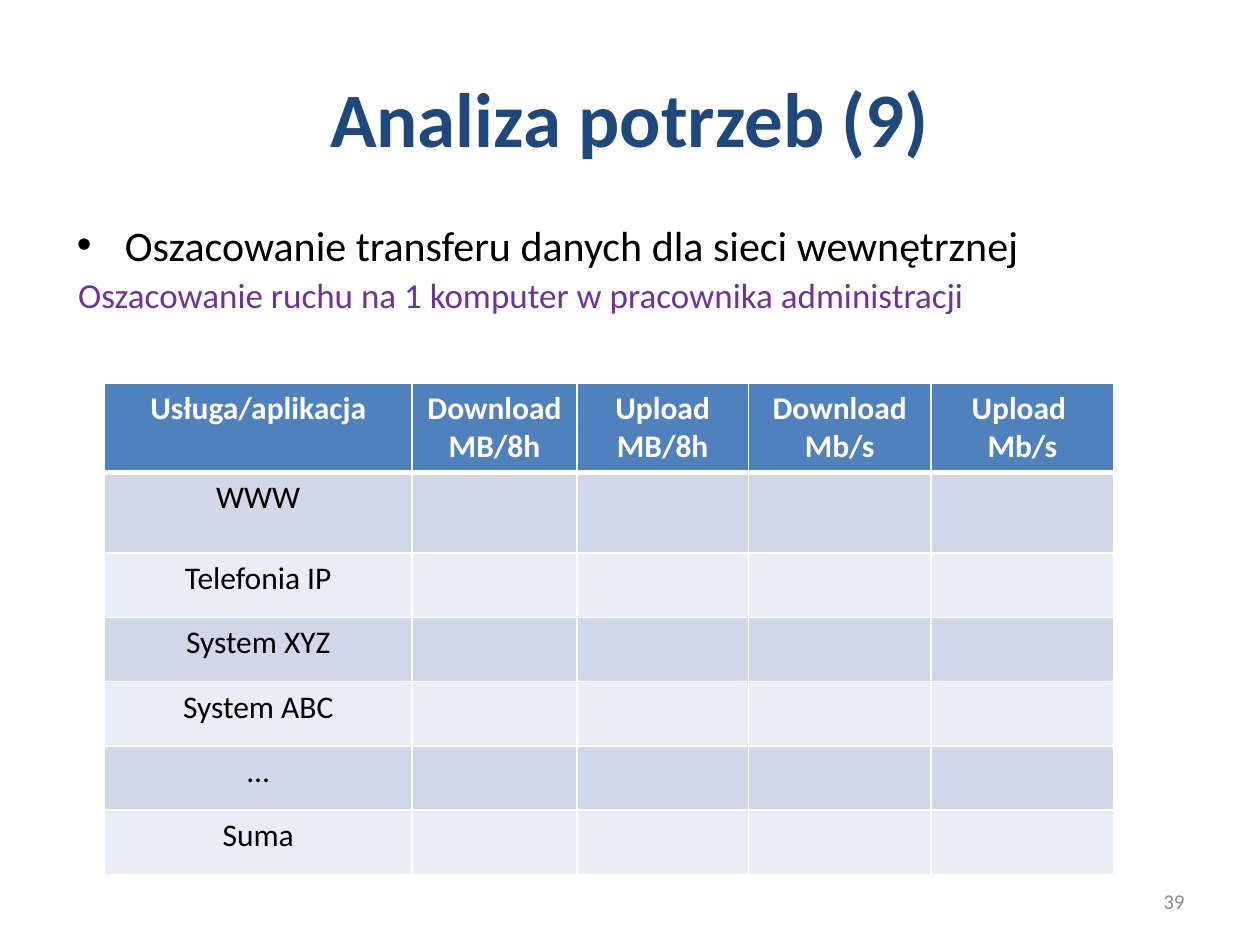
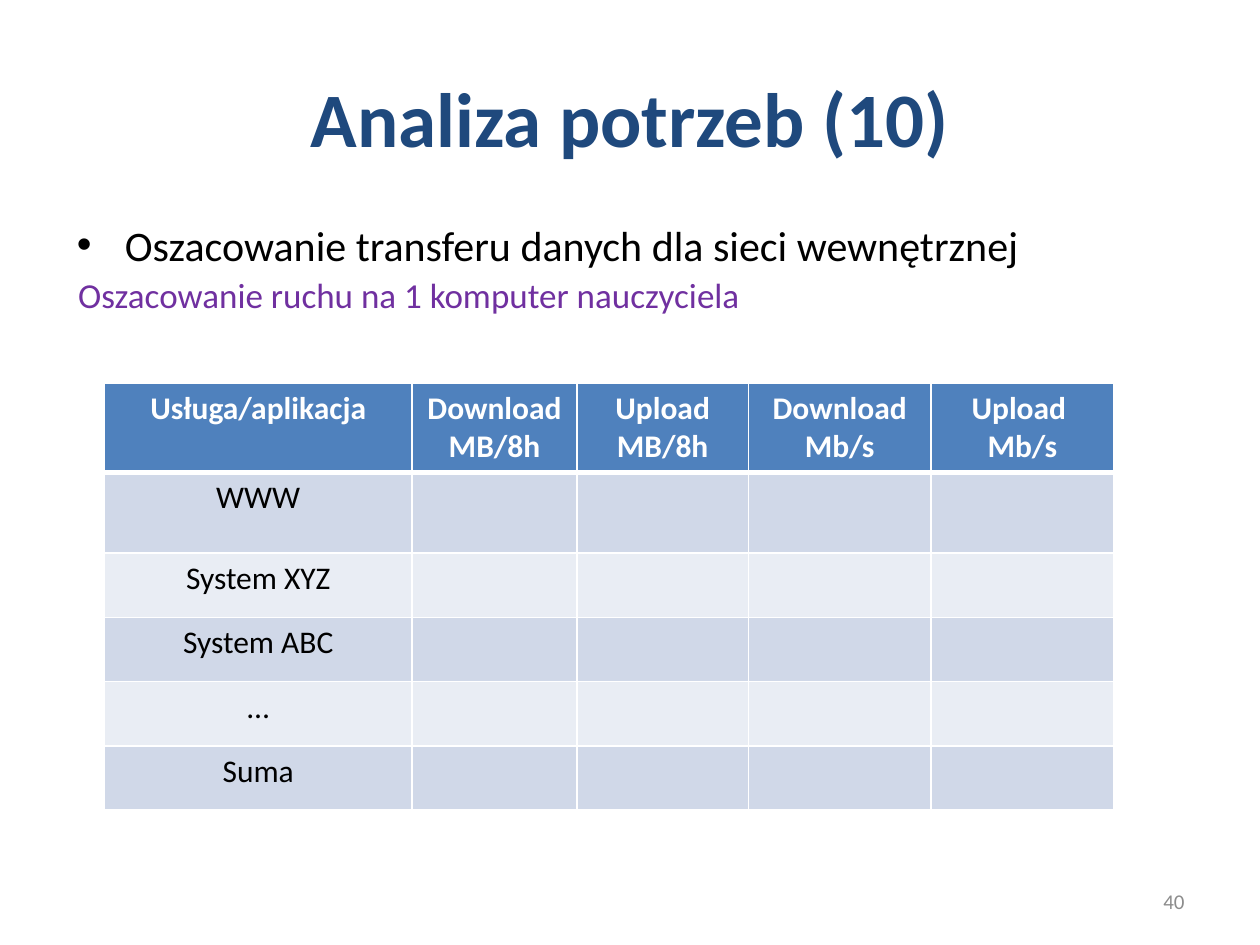
from lxml import etree
from pptx import Presentation
from pptx.dml.color import RGBColor
from pptx.enum import text
from pptx.oxml.ns import qn
from pptx.util import Inches, Pt

# Shared look
FONT = "Calibri"
NAVY, PURPLE, BLACK, WHITE, GREY = "1F497D", "7030A0", "000000", "FFFFFF", "8C8C8C"
HEADER_FILL, BAND_FILLS = "4F81BD", ("D0D8E8", "E9EDF4")
COLUMN_WIDTHS = (2.44, 1.31, 1.36, 1.45, 1.45)
HEADER_HEIGHT, FIRST_HEIGHT, ROW_HEIGHT = 0.71, 0.64, 0.51
HEADERS = ("Usługa/aplikacja", "Download MB/8h", "Upload MB/8h",
           "Download Mb/s", "Upload \nMb/s")

# What differs between the slides: number, title, subject, services
PAGES = (
    (39, "Analiza potrzeb (9)",
     "Oszacowanie ruchu na 1 komputer w pracownika administracji",
     ("WWW", "Telefonia IP", "System XYZ", "System ABC", "…", "Suma")),
    (40, "Analiza potrzeb (10)",
     "Oszacowanie ruchu na 1 komputer nauczyciela",
     ("WWW", "System XYZ", "System ABC", "…", "Suma")),
)


def write(para, words, size=18, color=BLACK, bold=False, align=text.PP_ALIGN.CENTER):
    """Put formatted words into a paragraph."""
    para.alignment = align
    span = para.add_run()
    span.text = words
    span.font.name, span.font.size, span.font.bold = FONT, Pt(size), bold
    span.font.color.rgb = RGBColor.from_string(color)


def set_borders(cell, top, bottom):
    """Draw white cell borders; widths are in points."""
    for side, width in (("L", 1), ("R", 1), ("T", top), ("B", bottom)):
        line = etree.SubElement(cell._tc.get_or_add_tcPr(), qn(f"a:ln{side}"), w=str(Pt(width)))
        fill = etree.SubElement(line, qn("a:solidFill"))
        etree.SubElement(fill, qn("a:srgbClr"), val=WHITE)


deck = Presentation()
deck.slide_width, deck.slide_height = Inches(10), Inches(7.5)

for number, heading, subject, services in PAGES:
    page = deck.slides.add_slide(deck.slide_layouts[1])

    # Title
    title = page.shapes.title
    title.left, title.top, title.width, title.height = map(Inches, (0.5, 0.3, 9, 1.25))
    title.text_frame.vertical_anchor = text.MSO_ANCHOR.MIDDLE
    write(title.text_frame.paragraphs[0], heading, size=44, color=NAVY, bold=True)

    # Bullet and subject line
    body = page.placeholders[1]
    body.left, body.top, body.width, body.height = map(Inches, (0.5, 1.75, 9.23, 5.23))
    frame = body.text_frame
    frame.auto_size = text.MSO_AUTO_SIZE.NONE
    bullet, note = frame.paragraphs[0], frame.add_paragraph()
    write(bullet, "Oszacowanie transferu danych dla sieci wewnętrznej",
          size=24, align=text.PP_ALIGN.LEFT)
    write(note, subject, size=20, color=PURPLE, align=text.PP_ALIGN.LEFT)
    for para, margin, indent in ((bullet, 0.39, -0.38), (note, 0.02, 0)):
        para.line_spacing, para.space_before = 0.85, Pt(6)
        properties = para._p.get_or_add_pPr()
        properties.set("marL", str(Inches(margin)))
        properties.set("indent", str(Inches(indent)))
    etree.SubElement(note._p.get_or_add_pPr(), qn("a:buNone"))

    # Traffic table
    heights = [HEADER_HEIGHT, FIRST_HEIGHT] + [ROW_HEIGHT] * (len(services) - 1)
    table = page.shapes.add_table(
        len(heights), len(HEADERS), Inches(0.83), Inches(3.04),
        Inches(sum(COLUMN_WIDTHS)), Inches(sum(heights))).table
    for column, width in zip(table.columns, COLUMN_WIDTHS):
        column.width = Inches(width)
    for index, (row, height) in enumerate(zip(table.rows, heights)):
        row.height = Inches(height)
        is_header = index == 0
        for cell in row.cells:
            set_borders(cell, top=3 if index == 1 else 1, bottom=3 if is_header else 1)
            cell.fill.solid()
            cell.fill.fore_color.rgb = RGBColor.from_string(
                HEADER_FILL if is_header else BAND_FILLS[(index - 1) % 2])

    for cell, label in zip(table.rows[0].cells, HEADERS):
        for position, words in enumerate(label.split("\n")):
            para = cell.text_frame.add_paragraph() if position else cell.text_frame.paragraphs[0]
            write(para, words, color=WHITE, bold=True)
    for index, service in enumerate(services, start=1):
        write(table.cell(index, 0).text_frame.paragraphs[0], service)

    # Page number
    box = page.shapes.add_textbox(Inches(7.17), Inches(6.95), Inches(2.33), Inches(0.4))
    box.text_frame.word_wrap = True
    box.text_frame.vertical_anchor = text.MSO_ANCHOR.MIDDLE
    write(box.text_frame.paragraphs[0], str(number), size=12, color=GREY,
          align=text.PP_ALIGN.RIGHT)

deck.save("out.pptx")
